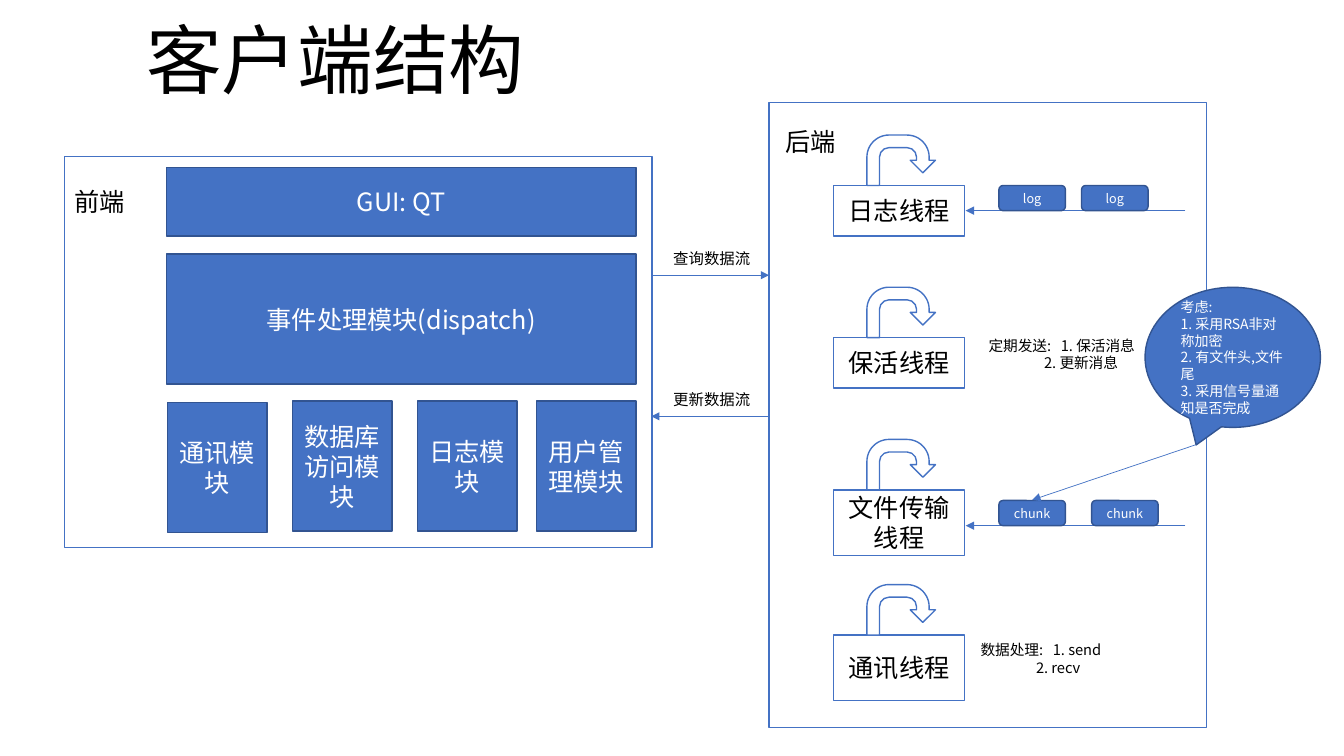
import pptx
import pptx.util
import pptx.dml.color
import pptx.enum.shapes
import pptx.enum.text
import pptx.oxml
import pptx.oxml.ns
import lxml.etree

Pt = pptx.util.Pt
RGB = pptx.dml.color.RGBColor.from_string
MSO = pptx.enum.shapes.MSO_SHAPE
ALIGN = pptx.enum.text.PP_ALIGN
ANCHOR = pptx.enum.text.MSO_ANCHOR
AUTO = pptx.enum.text.MSO_AUTO_SIZE
qn = pptx.oxml.ns.qn
FONT = "Noto Sans CJK SC"
COLORS = {"blue": "4472C4", "edge": "325491", "white": "FFFFFF", "black": "000000"}

prs = pptx.Presentation()
prs.slide_width = pptx.util.Inches(13.33)
prs.slide_height = pptx.util.Inches(7.5)
COL = prs.slide_width / 40
ROW = prs.slide_height / 30
s = prs.slides.add_slide(prs.slide_layouts[5])


def add_box(kind, x, y, w, h, text="", size=18, fill="white", align=ALIGN.CENTER, wrap=True):
    at = [int(v) for v in (x * COL, y * ROW, w * COL, h * ROW)]
    if kind == "title":
        sp = s.shapes.title
        sp.left, sp.top, sp.width, sp.height = at
    elif kind == "text":
        sp = s.shapes.add_textbox(*at)
    else:
        sp = s.shapes.add_shape(kind, *at)
        sp.shadow.inherit = False
        sp.fill.solid()
        sp.fill.fore_color.rgb = RGB(COLORS[fill])
        sp.line.color.rgb = RGB(COLORS["edge" if fill == "blue" else "blue"])
        sp.line.width = Pt(1)
    tf = sp.text_frame
    tf.word_wrap = wrap
    tf.auto_size = AUTO.SHAPE_TO_FIT_TEXT if kind == "text" else AUTO.NONE
    tf.vertical_anchor = {"title": ANCHOR.BOTTOM, "text": ANCHOR.TOP}.get(kind, ANCHOR.MIDDLE)
    tf.text = text
    for p in tf.paragraphs:
        p.alignment = align
        for r in p.runs:
            r.font.size = Pt(size)
            r.font.name = FONT
            r.font.color.rgb = RGB(COLORS["white" if fill == "blue" else "black"])
            lxml.etree.SubElement(r.font._element, qn("a:ea"), typeface=FONT)
    return sp


def add_arrow(x1, y1, x2, y2):
    ln = s.shapes.add_connector(
        pptx.enum.shapes.MSO_CONNECTOR.STRAIGHT,
        int(x1 * COL), int(y1 * ROW), int(x2 * COL), int(y2 * ROW))
    ln.line.color.rgb = RGB(COLORS["blue"])
    ln.line.width = Pt(0.5)
    lxml.etree.SubElement(ln.line._get_or_add_ln(), qn("a:tailEnd"), type="triangle")
    lxml.etree.SubElement(ln._element.spPr, qn("a:effectLst"))


title = add_box("title", 4.05, 0.8, 30, 3.48, "客户端结构", 54, align=ALIGN.LEFT)
title.text_frame.paragraphs[0].line_spacing = 0.8

add_box(MSO.RECTANGLE, 22.89, 4.08, 13.02, 24.8)
add_box(MSO.RECTANGLE, 1.92, 6.2, 17.49, 15.52)
add_box("text", 1.92, 7.2, 2.13, 1.6, "前端", align=ALIGN.LEFT)
add_box("text", 23.07, 4.8, 2.13, 1.6, "后端", align=ALIGN.LEFT, wrap=False)

add_box(MSO.RECTANGLE, 4.95, 6.64, 13.98, 2.72, "GUI: QT", fill="blue")
add_box(MSO.RECTANGLE, 4.95, 10.08, 13.98, 5.16, "事件处理模块(dispatch)", fill="blue")
modules = [(4.98, 15.96, "通讯模块"), (8.7, 15.92, "数据库访问模块"),
           (12.42, 15.92, "日志模块"), (15.96, 15.92, "用户管理模块")]
for x, y, name in modules:
    add_box(MSO.RECTANGLE, x, y, 2.97, 5.16, name, fill="blue")

threads = [(7.36, 2, "日志线程"), (13.4, 2, "保活线程"),
           (19.44, 2.6, "文件传输线程"), (25.2, 2.6, "通讯线程")]
for y, h, name in threads:
    add_box(MSO.RECTANGLE, 24.81, y, 3.9, h, name)
    add_box(MSO.U_TURN_ARROW, 25.8, y - 2, 2.04, 2)

queues = [(7.36, 32.19, "log"), (19.86, 32.49, "chunk")]
for y, second, name in queues:
    add_arrow(35.28, y + 1, 28.74, y + 1)
    for x in (29.73, second):
        add_box(MSO.ROUNDED_RECTANGLE, x, y, 1.98, 1, name, 9, "blue")

notes = [(29.13, 13.16, "定期发送:\t1. 保活消息\n2. 更新消息"),
         (28.89, 25.24, "数据处理:\t1. send\n2. recv")]
for x, y, text in notes:
    sp = add_box("text", x, y, 4.95, 1.8, text, 10.5, align=ALIGN.LEFT)
    first, last = [p._p.get_or_add_pPr() for p in sp.text_frame.paragraphs]
    tabs = lxml.etree.SubElement(first, qn("a:tabLst"))
    lxml.etree.SubElement(tabs, qn("a:tab"), pos=str(int(2.15 * COL)), algn="l")
    last.set("marL", str(int(1.65 * COL)))

add_arrow(35.61, 17.64, 30.72, 19.84)
add_box(MSO.OVAL_CALLOUT, 34.08, 11.4, 5.22, 5.56,
        "考虑:\n1. 采用RSA非对称加密\n2. 有文件头,文件尾\n3. 采用信号量通知是否完成",
        10, "blue", ALIGN.LEFT)

flows = [(10.92, 19.38, 22.89, "查询数据流"), (16.52, 22.89, 19.38, "更新数据流")]
for y, start, end, name in flows:
    add_arrow(start, y, end, y)
    add_box("text", 19.74, y - 1.24, 2.91, 1.16, name, 11, align=ALIGN.LEFT, wrap=False)

prs.save("out.pptx")
